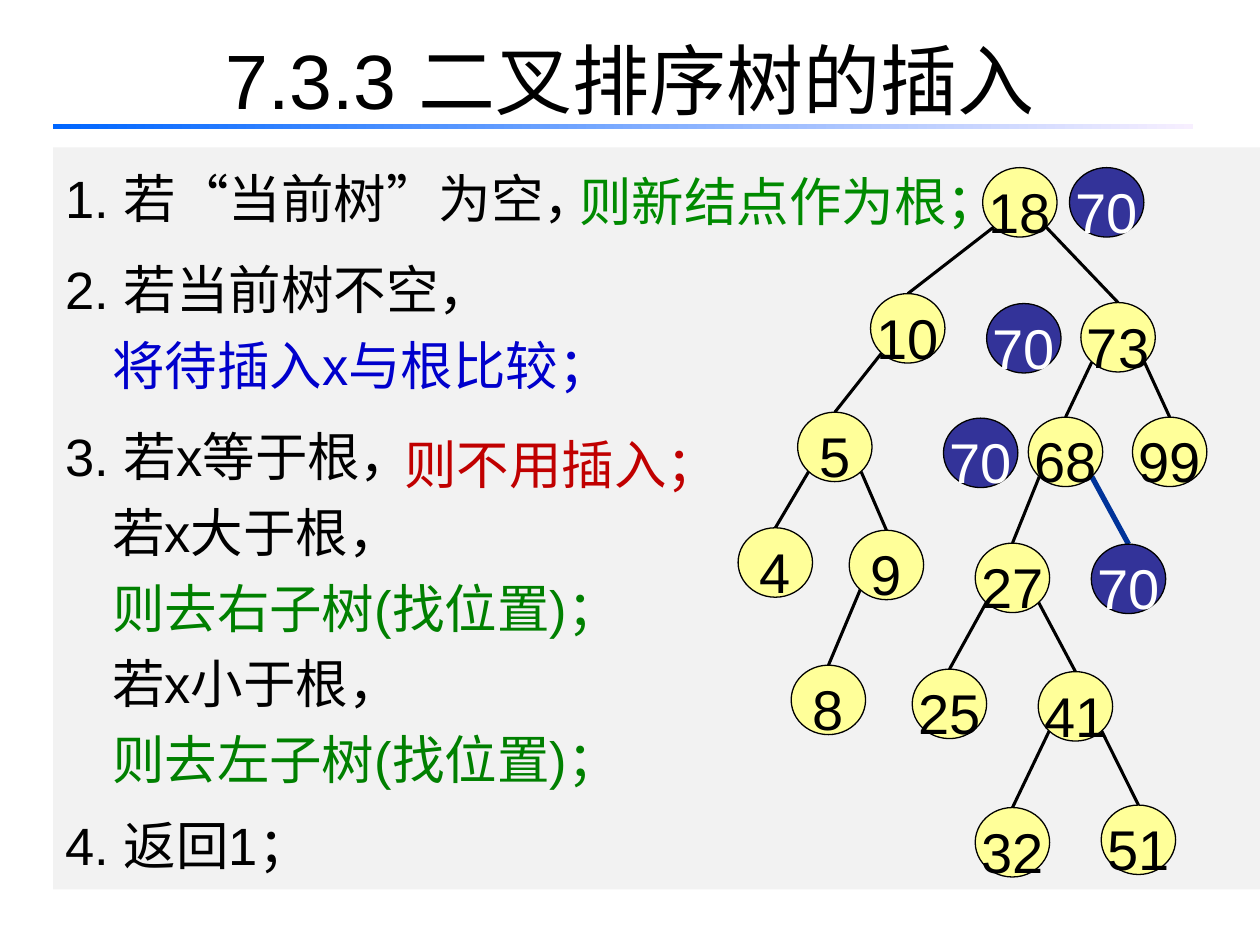
from lxml import etree
from pptx import Presentation
from pptx.dml.color import RGBColor
from pptx.enum.shapes import MSO_CONNECTOR, MSO_SHAPE
from pptx.enum.text import MSO_ANCHOR, MSO_AUTO_SIZE, PP_ALIGN
from pptx.oxml.ns import qn
from pptx.util import Cm, Pt

BLACK = RGBColor(0x00, 0x00, 0x00)
WHITE = RGBColor(0xFF, 0xFF, 0xFF)
PANEL_GRAY = RGBColor(0xF2, 0xF2, 0xF2)
RULE_BLUE = RGBColor(0x00, 0x66, 0xFF)
RULE_PALE = RGBColor(0xF7, 0xEF, 0xFF)
NODE_YELLOW = RGBColor(0xFF, 0xFF, 0x99)
NEW_NODE_BLUE = RGBColor(0x33, 0x33, 0x99)
NEW_EDGE_BLUE = RGBColor(0x00, 0x33, 0x99)
BLUE = RGBColor(0x00, 0x00, 0xCC)
GREEN = RGBColor(0x00, 0x80, 0x00)
BRIGHT_GREEN = RGBColor(0x00, 0x8A, 0x00)
RED = RGBColor(0xC0, 0x00, 0x00)

NODE_WIDTH, NODE_HEIGHT = 1.5, 1.4
EDGE_SIDE, EDGE_DROP = 0.53, 1.2


def write(paragraph, text, size, color, **formats):
    """Add a run in the slide's Latin and Chinese fonts and format its paragraph."""
    run = paragraph.add_run()
    run.text = text
    for name, value in {"name": "Arial", "size": Pt(size)}.items():
        setattr(run.font, name, value)
    run.font.color.rgb = color
    east_asian = etree.SubElement(run.font._element, qn("a:ea"))
    east_asian.set("typeface", "Noto Sans CJK SC")
    for name, value in formats.items():
        setattr(paragraph, name, value)


def add_edge(parent, child, color=BLACK, width=1.75):
    """Join a lower side of the parent to the top of the child; both are (left, top)."""
    side = EDGE_SIDE if child[0] > parent[0] else -EDGE_SIDE
    middle = NODE_WIDTH / 2
    edge = slide.shapes.add_connector(
        MSO_CONNECTOR.STRAIGHT,
        Cm(parent[0] + middle + side), Cm(parent[1] + EDGE_DROP),
        Cm(child[0] + middle), Cm(child[1]))
    edge.line.color.rgb = color
    edge.line.width = Pt(width)
    etree.SubElement(edge._element.spPr, qn("a:effectLst"))


presentation = Presentation()
presentation.slide_width, presentation.slide_height = Cm(25.4), Cm(19.05)
slide = presentation.slides.add_slide(presentation.slide_layouts[5])

# Title and the rule under it
title = slide.shapes.title
for name, value in {"left": 1.27, "top": 0, "width": 22.86, "height": 3.18}.items():
    setattr(title, name, Cm(value))
title.text_frame.vertical_anchor = MSO_ANCHOR.MIDDLE
write(title.text_frame.paragraphs[0], "7.3.3 二叉排序树的插入", 44, BLACK,
      alignment=PP_ALIGN.CENTER)

rule = slide.shapes.add_shape(MSO_SHAPE.RECTANGLE, Cm(1.07), Cm(2.51), Cm(22.99), Cm(0.1))
rule.shadow.inherit = False
rule.line.fill.background()
rule.fill.gradient()
rule.fill.gradient_angle = 0
for stop, color, position in zip(rule.fill.gradient_stops, (RULE_BLUE, RULE_PALE), (0, 1)):
    stop.color.rgb = color
    stop.position = position

# Algorithm steps: text, colour, space before, continuation of a step
steps = [
    ("1. 若“当前树”为空，", BLACK, 0, False),
    ("2. 若当前树不空，", BLACK, 9, False),
    ("将待插入x与根比较；", BLUE, 0, True),
    ("3. 若x等于根，", BLACK, 9, False),
    ("若x大于根，", BLACK, 0, True),
    ("则去右子树(找位置)；", GREEN, 0, True),
    ("若x小于根，", BLACK, 0, True),
    ("则去左子树(找位置)；", GREEN, 0, True),
    ("4. 返回1；", BLACK, 6, False),
]
panel = slide.shapes.add_shape(MSO_SHAPE.RECTANGLE, Cm(1.07), Cm(2.97), Cm(24.33), Cm(14.96))
panel.shadow.inherit = False
panel.fill.solid()
panel.fill.fore_color.rgb = PANEL_GRAY
panel.line.fill.background()
frame = panel.text_frame
frame.word_wrap = True
frame.vertical_anchor = MSO_ANCHOR.TOP
for index, (text, color, space, continued) in enumerate(steps):
    paragraph = frame.add_paragraph() if index else frame.paragraphs[0]
    write(paragraph, text, 30, color, alignment=PP_ALIGN.LEFT,
          line_spacing=1.2, space_before=Pt(space))
    properties = paragraph._p.get_or_add_pPr()
    properties.set("marL", str(Cm(0.94 if continued else 1.42)))
    properties.set("indent", str(Cm(0 if continued else -1.42)))

# Tree: value -> (left, top) in cm
nodes = {
    18: (19.81, 3.38), 10: (17.55, 5.92), 73: (21.79, 6.1),
    5: (16.08, 8.31), 68: (20.73, 8.41), 99: (22.83, 8.41),
    4: (14.88, 10.64), 9: (17.12, 10.69), 27: (19.66, 10.95),
    8: (15.95, 13.41), 25: (18.39, 13.49), 41: (20.93, 13.54),
    32: (19.66, 16.28), 51: (22.2, 16.23),
}
children = {18: (10, 73), 10: (5,), 73: (68, 99), 5: (4, 9), 68: (27,),
            9: (8,), 27: (25, 41), 41: (32, 51)}
new_node_stops = [(21.56, 3.38), (19.89, 6.12), (19.02, 8.43), (22, 10.97)]

for parent, values in children.items():
    for value in values:
        add_edge(nodes[parent], nodes[value])
add_edge(nodes[68], new_node_stops[-1], NEW_EDGE_BLUE, 3)

circles = [(value, place, NODE_YELLOW, BLACK) for value, place in nodes.items()]
circles += [(70, place, NEW_NODE_BLUE, WHITE) for place in new_node_stops]
for value, (left, top), fill, color in circles:
    circle = slide.shapes.add_shape(
        MSO_SHAPE.OVAL, Cm(left), Cm(top), Cm(NODE_WIDTH), Cm(NODE_HEIGHT))
    circle.shadow.inherit = False
    circle.fill.solid()
    circle.fill.fore_color.rgb = fill
    circle.line.color.rgb = BLACK
    circle.line.width = Pt(0.75)
    circle.text_frame.word_wrap = False
    circle.text_frame.vertical_anchor = MSO_ANCHOR.MIDDLE
    write(circle.text_frame.paragraphs[0], str(value), 32, color,
          alignment=PP_ALIGN.CENTER, line_spacing=1.25)

# Outcomes beside steps 1 and 3
outcomes = [
    ("则新结点作为根；", BRIGHT_GREEN, 11.43, 2.97, 9.07),
    ("则不用插入；", RED, 7.9, 8.26, 6.93),
]
for text, color, left, top, width in outcomes:
    outcome = slide.shapes.add_textbox(Cm(left), Cm(top), Cm(width), Cm(1.7))
    outcome.text_frame.word_wrap = False
    outcome.text_frame.auto_size = MSO_AUTO_SIZE.SHAPE_TO_FIT_TEXT
    write(outcome.text_frame.paragraphs[0], text, 30, color, line_spacing=1.25)

presentation.save("out.pptx")
